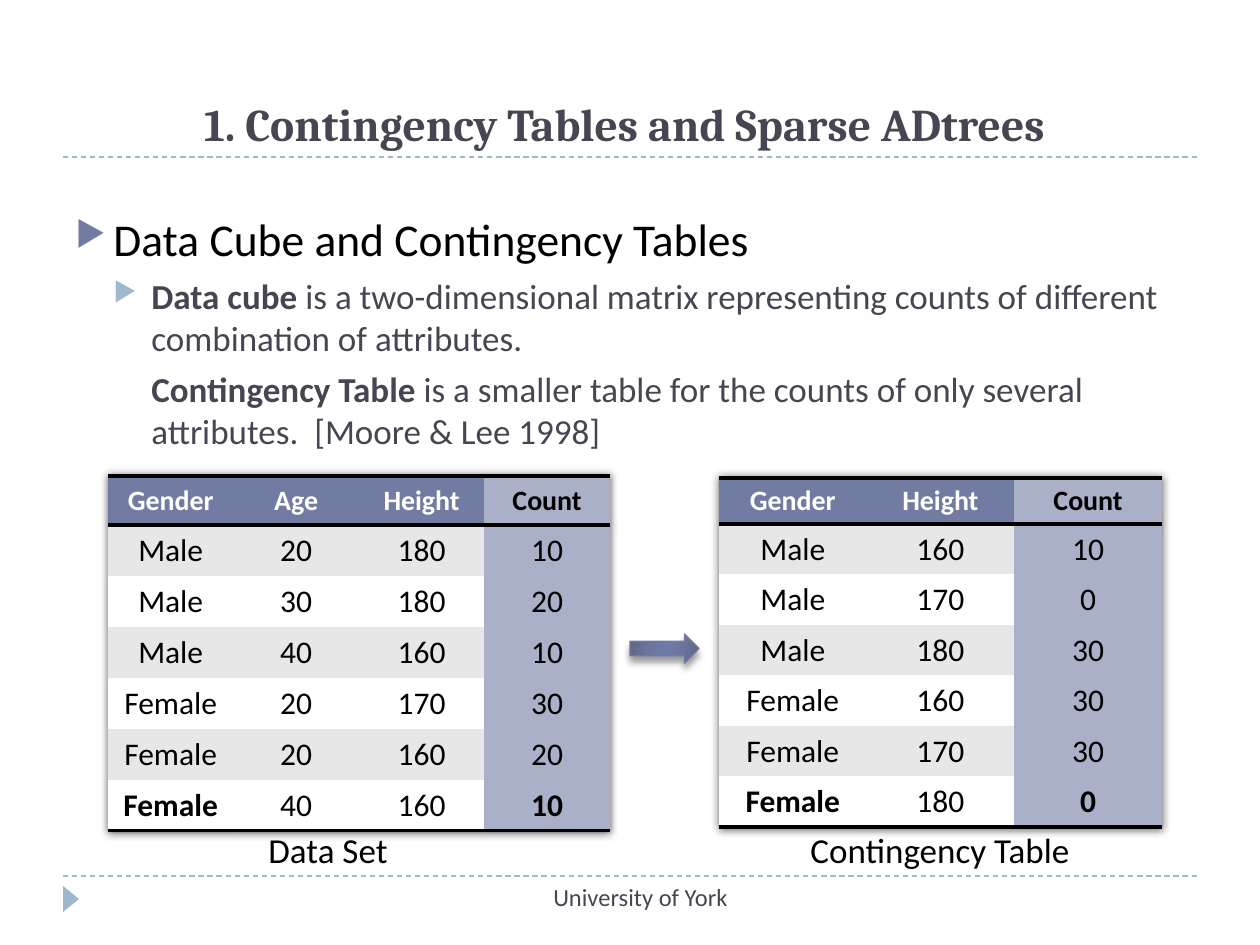
from pptx import Presentation
from pptx.dml.color import RGBColor
from pptx.enum.dml import MSO_LINE
from pptx.enum.shapes import MSO_CONNECTOR, MSO_SHAPE
from pptx.enum.text import MSO_ANCHOR, MSO_AUTO_SIZE, PP_ALIGN
from pptx.oxml import parse_xml
from pptx.oxml.ns import nsdecls, qn
from pptx.util import Emu, Pt

DASH = MSO_LINE.DASH
LINE = MSO_CONNECTOR.STRAIGHT
ARROW, WEDGE = MSO_SHAPE.RIGHT_ARROW, MSO_SHAPE.ISOSCELES_TRIANGLE
MIDDLE, BOTTOM = MSO_ANCHOR.MIDDLE, MSO_ANCHOR.BOTTOM
LEFT, CENTER = PP_ALIGN.LEFT, PP_ALIGN.CENTER
FIXED = MSO_AUTO_SIZE.NONE
NO_STYLE = "{2D5ABB26-0587-4C30-8999-92F81FD0307C}"
NS = nsdecls("a")
HEX = {"ink": "000000", "text": "464653", "head": "727CA3", "sky": "9FB8CD",
       "count": "AAB0C8", "band": "E7E7E7", "white": "FFFFFF"}
SHINE = [(0, "5D6585"), (30, "6B759E"), (45, "6E79A7"),
         (55, "6E79A7"), (73, "6B759E"), (100, "5D6585")]
CUBE = [["Gender", "Age", "Height", "Count"],
        ["Male", "20", "180", "10"],
        ["Male", "30", "180", "20"],
        ["Male", "40", "160", "10"],
        ["Female", "20", "170", "30"],
        ["Female", "20", "160", "20"],
        ["Female", "40", "160", "10"]]
COUNTS = [["Gender", "Height", "Count"],
          ["Male", "160", "10"],
          ["Male", "170", "0"],
          ["Male", "180", "30"],
          ["Female", "160", "30"],
          ["Female", "170", "30"],
          ["Female", "180", "0"]]


def px(n):
    return Emu(n * 914400 // 126)


def rgb(name):
    return RGBColor.from_string(HEX[name])


def cast(blur, dist, alpha):
    return parse_xml(
        f'<a:outerShdw {NS} blurRad="{Pt(blur)}" dist="{Pt(dist)}" dir="5400000" '
        f'algn="ctr" rotWithShape="0"><a:srgbClr val="{HEX["ink"]}">'
        f'<a:alpha val="{alpha * 1000}"/></a:srgbClr></a:outerShdw>')


class Deck:
    """Holds the style and the current slide, and draws each kind of element."""

    def __init__(self):
        self.prs = Presentation()
        self.prs.slide_width, self.prs.slide_height = px(1260), px(945)
        self.slide = self.prs.slides.add_slide(self.prs.slide_layouts[5])
        self.shapes = self.slide.shapes
        self.font = "Calibri"

    def run(self, para, text, size, color, bold=False, font=None):
        run = para.add_run()
        run.text = text
        run.font.name = font or self.font
        run.font.size = Pt(size)
        run.font.bold = bold
        run.font.color.rgb = rgb(color)

    def title(self, text, *box):
        head = self.shapes.title
        head.left, head.top, head.width, head.height = map(px, box)
        frame = head.text_frame
        frame.auto_size = FIXED
        frame.vertical_anchor = BOTTOM
        para = frame.paragraphs[0]
        para.alignment = CENTER
        self.run(para, text, 26, "text", True, "Cambria")

    def frame(self, *box):
        frame = self.shapes.add_textbox(*map(px, box)).text_frame
        frame.word_wrap = True
        return frame

    def label(self, text, size, color, align, *box):
        para = self.frame(*box).paragraphs[0]
        para.alignment = align
        self.run(para, text, size, color)

    def item(self, para, left, hang, mark, space, runs):
        props = para._p.get_or_add_pPr()
        props.set("marL", str(px(left)))
        props.set("indent", str(-px(hang)))
        if mark:
            for tag in (f'<a:buClr {NS}><a:srgbClr val="{HEX[mark]}"/></a:buClr>',
                        f'<a:buSzPct {NS} val="76000"/>',
                        f'<a:buChar {NS} char="▶"/>'):
                props.append(parse_xml(tag))
        para.space_before = Pt(space)
        for run in runs:
            self.run(para, *run)

    def rule(self, y):
        line = self.shapes.add_connector(LINE, px(63), px(y), px(1197), px(y))
        line.line.color.rgb = rgb("sky")
        line.line.width = Pt(0.75)
        line.line.dash_style = DASH
        line._element.spPr.append(parse_xml(f"<a:effectLst {NS}/>"))

    def wedge(self, *box):
        shape = self.shapes.add_shape(WEDGE, *map(px, box))
        shape.rotation = 90
        shape.shadow.inherit = False
        shape.fill.solid()
        shape.fill.fore_color.rgb = rgb("sky")
        shape.line.fill.background()

    def arrow(self, *box):
        shape = self.shapes.add_shape(ARROW, *map(px, box))
        shape.shadow.inherit = False
        stops = "".join(f'<a:gs pos="{pos * 1000}"><a:srgbClr val="{tone}"/></a:gs>'
                        for pos, tone in SHINE)
        props = shape._element.spPr
        props.insert(2, parse_xml(f'<a:gradFill {NS}><a:gsLst>{stops}</a:gsLst>'
                                  '<a:lin ang="960000" scaled="1"/></a:gradFill>'))
        shape.line.color.rgb = rgb("head")
        shape.line.width = Pt(0.75)
        props.find(qn("a:effectLst")).append(cast(4, 3.4, 40))

    def edge(self, cell, side):
        cell._tc.get_or_add_tcPr().insert(0, parse_xml(
            f'<a:{side} {NS} w="{Pt(2)}"><a:solidFill>'
            f'<a:srgbClr val="{HEX["ink"]}"/></a:solidFill></a:{side}>'))

    def table(self, data, head, *box):
        rows, cols = len(data), len(data[0])
        grid = self.shapes.add_table(rows, cols, *map(px, box)).table
        grid.first_row = grid.horz_banding = False
        props = grid._tbl.tblPr
        props.find(qn("a:tableStyleId")).text = NO_STYLE
        glow = parse_xml(f"<a:effectLst {NS}/>")
        glow.append(cast(5, 0, 60))
        props.insert(0, glow)
        for r, row in enumerate(grid.rows):
            row.height = px(box[3] - head) // (rows - 1) if r else px(head)
            for c, text in enumerate(data[r]):
                self.cell(grid.cell(r, c), text, r, r == rows - 1,
                          c == 0, c == cols - 1)

    def cell(self, cell, text, r, end, first, last):
        cell.vertical_anchor = MIDDLE
        cell.margin_top = cell.margin_bottom = px(4)
        plain = ("band" if r % 2 else "white") if r else "head"
        cell.fill.solid()
        cell.fill.fore_color.rgb = rgb("count" if last else plain)
        para = cell.text_frame.paragraphs[0]
        para.alignment = CENTER
        bold = r == 0 or end and (first or last)
        self.run(para, text, 18 if r else 16,
                 "ink" if r or last else "white", bold)
        if r == 0 or end:
            self.edge(cell, "lnB")
        if r == 0:
            self.edge(cell, "lnT")


def main():
    deck = Deck()
    deck.rule(876)
    deck.rule(157)
    deck.wedge(58, 891, 26, 16)
    deck.title("1. Contingency Tables and Sparse ADtrees ", 63, 21, 1134, 136)
    body = deck.frame(63, 205, 1134, 260)
    deck.item(body.paragraphs[0], 38, 38, "head", 0,
              [("Data Cube and Contingency Tables", 26, "ink")])
    deck.item(body.add_paragraph(), 76, 38, "sky", 5,
              [("Data cube ", 20, "text", True),
               ("is a two-dimensional matrix representing counts of different "
                "combination of attributes.", 20, "text")])
    deck.item(body.add_paragraph(), 76, 0, None, 5,
              [("Contingency Table ", 20, "text", True),
               ("is a smaller table for the counts of only several attributes.  "
                "[Moore & Lee 1998]", 20, "text")])
    deck.table(CUBE, 49, 108, 476, 502, 355)
    deck.arrow(630, 634, 69, 29)
    deck.label("Data Set", 20, "ink", LEFT, 256, 822, 147, 55)
    deck.label("Contingency Table", 20, "ink", LEFT, 798, 822, 315, 55)
    deck.table(COUNTS, 46, 719, 478, 443, 349)
    deck.label("University of York", 14, "text", CENTER, 399, 876, 483, 50)
    deck.prs.save("out.pptx")


if __name__ == "__main__":
    main()
